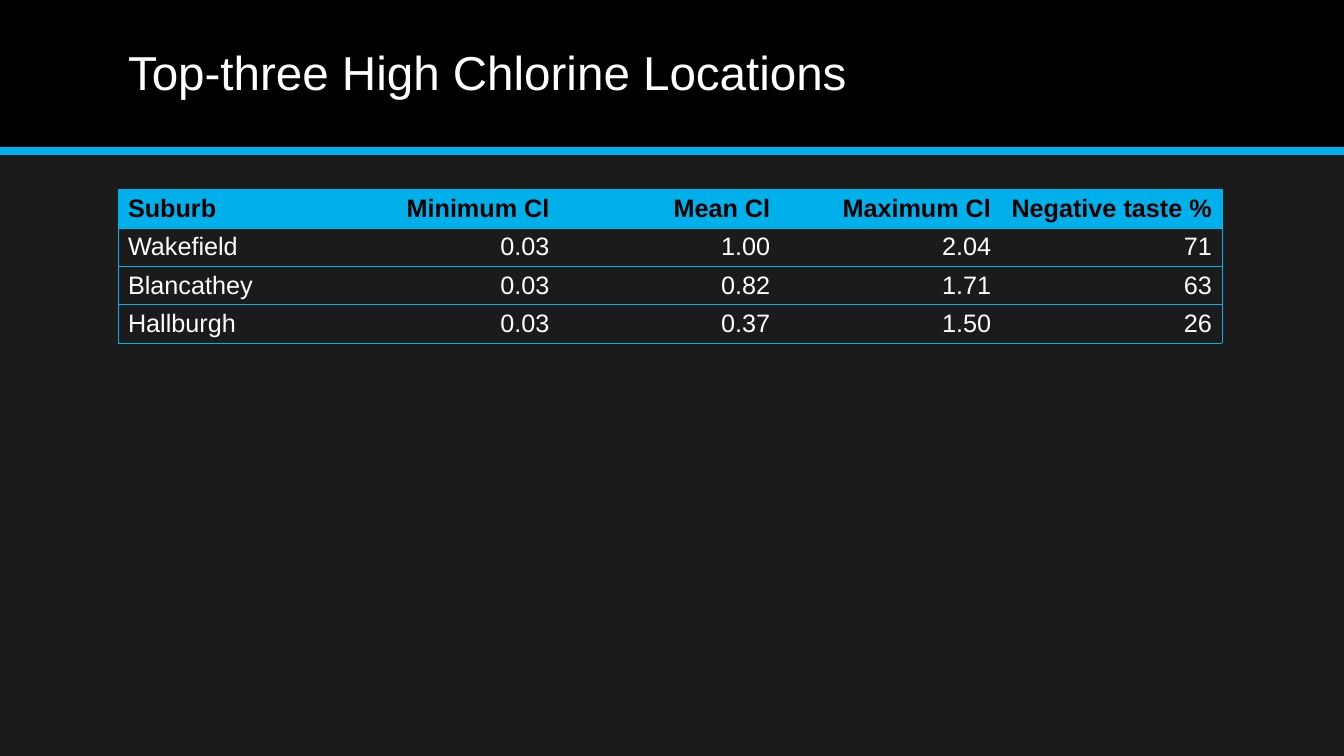
"""Build the slide on the three suburbs with the highest chlorine."""
from dataclasses import dataclass

from lxml.etree import SubElement
from pptx import Presentation
from pptx.dml.color import RGBColor
from pptx.enum.shapes import MSO_CONNECTOR as Connector, MSO_SHAPE as Shape
from pptx.enum.text import MSO_ANCHOR as Anchor, PP_ALIGN as Align
from pptx.oxml.ns import qn
from pptx.util import Inches, Pt

COLORS = {"background": "1B1B1B", "band": "000000", "accent": "00B0EA",
          "light": "FFFFFF", "dark": "000000"}
FONT = "Arial"
SLIDE_WIDTH, BAND_HEIGHT = 13.33, 1.5
TABLE_LEFT, TABLE_TOP, COLUMN_WIDTH, ROW_HEIGHT = 1.17, 1.88, 2.19, 0.38
HEADINGS = ("Suburb", "Minimum Cl", "Mean Cl", "Maximum Cl", "Negative taste %")


@dataclass(frozen=True)
class Suburb:
    name: str
    minimum: float
    mean: float
    maximum: float
    negative_taste: int

    def texts(self) -> tuple[str, ...]:
        levels = (self.minimum, self.mean, self.maximum)
        return (self.name, *(f"{level:.2f}" for level in levels), str(self.negative_taste))


SUBURBS = (
    Suburb("Wakefield", 0.03, 1.00, 2.04, 71),
    Suburb("Blancathey", 0.03, 0.82, 1.71, 63),
    Suburb("Hallburgh", 0.03, 0.37, 1.50, 26),
)


def color(key: str) -> RGBColor:
    return RGBColor.from_string(COLORS[key])


def style_paragraph(paragraph, size: float, color_key: str, bold: bool = False) -> None:
    font = paragraph.font
    font.name, font.size, font.bold = FONT, Pt(size), bold
    font.color.rgb = color(color_key)


def draw_header(slide) -> None:
    band = slide.shapes.add_shape(Shape.RECTANGLE, 0, 0, Inches(SLIDE_WIDTH), Inches(BAND_HEIGHT))
    band.shadow.inherit = False
    band.fill.solid()
    band.fill.fore_color.rgb = color("band")
    band.line.fill.background()

    rule = slide.shapes.add_connector(Connector.STRAIGHT, 0, Inches(BAND_HEIGHT),
                                      Inches(SLIDE_WIDTH), Inches(BAND_HEIGHT))
    rule.line.color.rgb = color("accent")
    rule.line.width = Pt(6)
    SubElement(rule._element.spPr, qn("a:effectLst"))

    title = slide.shapes.title
    slide.shapes._spTree.append(title._element)
    title.left, title.top = Inches(1.17), Inches(0.14)
    title.width, title.height = Inches(11), Inches(1.2)
    title.text_frame.text = "Top-three High Chlorine Locations"
    title.text_frame.vertical_anchor = Anchor.MIDDLE
    paragraph = title.text_frame.paragraphs[0]
    paragraph.alignment, paragraph.line_spacing = Align.LEFT, 0.9
    style_paragraph(paragraph, 34, "light")


def set_borders(cell, is_first: bool, is_last: bool) -> None:
    visible = {"a:lnL": is_first, "a:lnR": is_last, "a:lnT": True, "a:lnB": True}
    for tag, shown in visible.items():
        border = SubElement(cell._tc.get_or_add_tcPr(), qn(tag), w=str(Pt(0.5)))
        if shown:
            fill = SubElement(border, qn("a:solidFill"))
            SubElement(fill, qn("a:srgbClr"), val=COLORS["accent"])
        else:
            SubElement(border, qn("a:noFill"))


def draw_table(slide) -> None:
    rows = (HEADINGS, *(suburb.texts() for suburb in SUBURBS))
    table = slide.shapes.add_table(
        len(rows), len(HEADINGS), Inches(TABLE_LEFT), Inches(TABLE_TOP),
        Inches(COLUMN_WIDTH * len(HEADINGS)), Inches(ROW_HEIGHT * len(rows))).table
    table.horz_banding = False
    for row_index, texts in enumerate(rows):
        is_heading = row_index == 0
        for column_index, text in enumerate(texts):
            cell = table.cell(row_index, column_index)
            cell.text = text
            paragraph = cell.text_frame.paragraphs[0]
            paragraph.alignment = Align.RIGHT if column_index else Align.LEFT
            style_paragraph(paragraph, 18, "dark" if is_heading else "light", is_heading)
            set_borders(cell, column_index == 0, column_index == len(texts) - 1)
            if is_heading:
                cell.fill.solid()
                cell.fill.fore_color.rgb = color("accent")
            else:
                cell.fill.background()


def main() -> None:
    presentation = Presentation()
    presentation.slide_width, presentation.slide_height = Inches(SLIDE_WIDTH), Inches(7.5)
    slide = presentation.slides.add_slide(presentation.slide_layouts.get_by_name("Title Only"))
    slide.background.fill.solid()
    slide.background.fill.fore_color.rgb = color("background")
    draw_header(slide)
    draw_table(slide)
    presentation.save("out.pptx")


if __name__ == "__main__":
    main()
